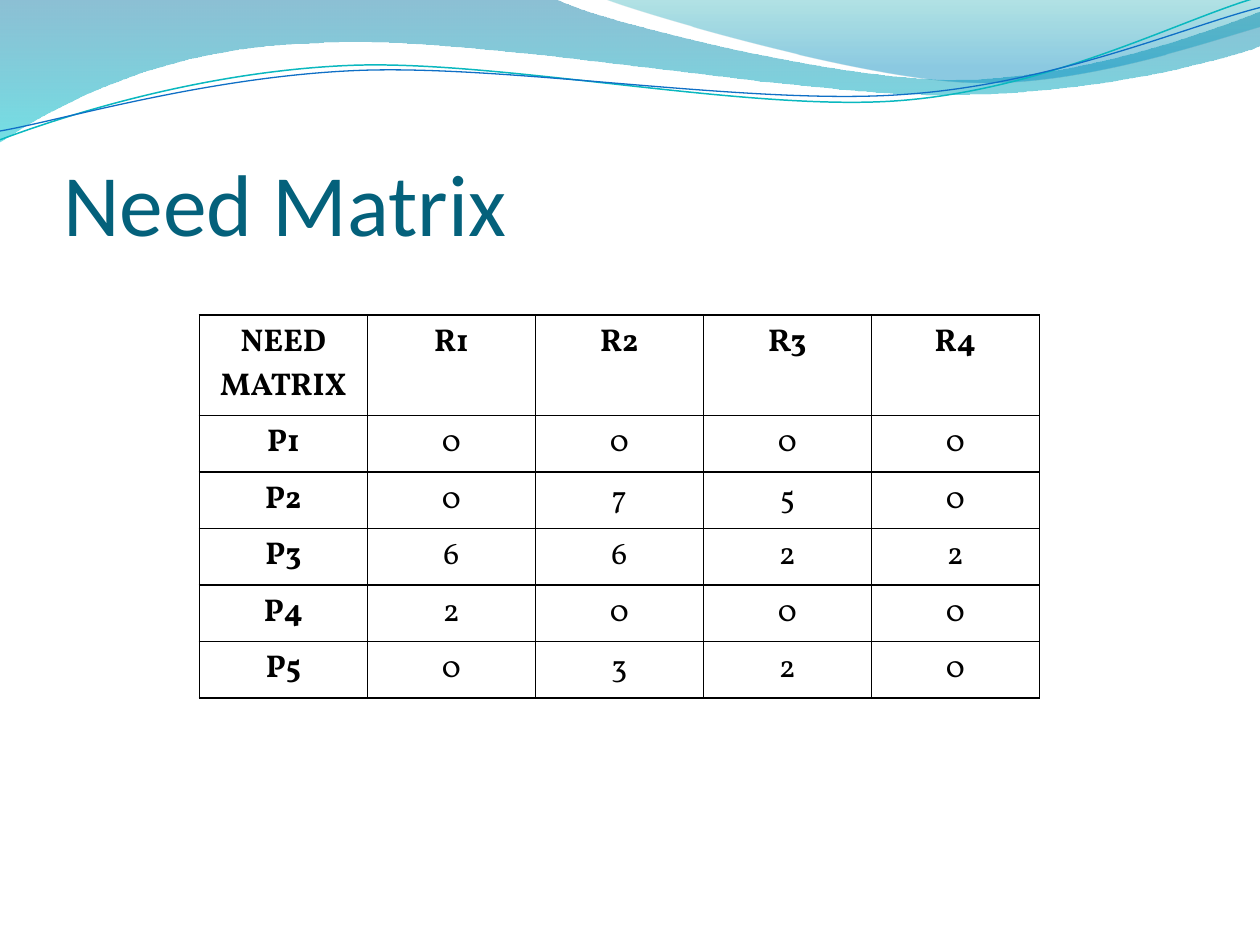
import pptx
import pptx.util
import pptx.dml.color
import pptx.enum.text
import pptx.oxml
import pptx.oxml.ns
from pptx.util import Cm

# Content
TITLE = "Need Matrix"
MATRIX = [
    ("NEED MATRIX", "R1", "R2", "R3", "R4"),
    ("P1", 0, 0, 0, 0),
    ("P2", 0, 7, 5, 0),
    ("P3", 6, 6, 2, 2),
    ("P4", 2, 0, 0, 0),
    ("P5", 0, 3, 2, 0),
]

THEME = {
    "title": {"name": "Calibri", "size": 50, "color": "04617B", "bold": False},
    "head": {"name": "Vollkorn", "size": 18, "color": "000000", "bold": True},
    "value": {"name": "Vollkorn", "size": 18, "color": "000000", "bold": False},
    "border": ("000000", 1),
}

# Wave outlines on a one-inch grid: two numbers draw a line, six a Bezier curve.
# Gradient stops are position, colour and opacity percent.
INCH = 2.54
WAVES = [
    {"start": (0, 0), "closed": True,
     "steps": [(4.4, -0.01), (4.76, 0.17, 6.64, 0.63, 7.58, 0.63),
               (8.53, 0.63, 9.58, 0.26, 10, 0.09), (10.01, 0.36),
               (9.83, 0.44, 8.7, 0.76, 7.46, 0.75),
               (6.22, 0.75, 3.82, 0.28, 2.57, 0.34),
               (1.29, 0.36, 0.46, 0.83, -0.01, 1.13), (0, 0)],
     "gradient": [(0, "0074A1", 45), (1, "00C6CF", 55)]},
    {"start": (4.79, -0.01), "closed": True,
     "steps": [(5.09, 0.11, 6.82, 0.62, 7.69, 0.65),
               (8.56, 0.69, 9.61, 0.32, 10, 0.21), (10, 0), (4.79, -0.01)],
     "gradient": [(0, "00A1A9", 30), (0.8, "008BBF", 45)]},
    {"start": (0, 1.11), "closed": False,
     "steps": [(0.48, 0.93, 1.58, 0.57, 2.77, 0.52),
               (3.95, 0.47, 5.93, 0.89, 7.13, 0.8),
               (8.33, 0.71, 9.38, 0.15, 9.98, -0.02)],
     "line": ("0AB8BF", 0.85)},
    {"start": (0, 1.04), "closed": False,
     "steps": [(0.47, 0.96, 1.64, 0.61, 2.83, 0.56),
               (4.03, 0.51, 5.97, 0.84, 7.17, 0.75),
               (8.36, 0.67, 9.41, 0.21, 10, 0.06)],
     "line": ("0F6FC6", 0.75)},
]


def rgb(value):
    return pptx.dml.color.RGBColor.from_string(value)


def xml(tag, attributes="", content=""):
    names = pptx.oxml.ns.nsdecls("a")
    return pptx.oxml.parse_xml(f"<a:{tag} {names} {attributes}>{content}</a:{tag}>")


def write(para, text, style):
    span = para.add_run()
    span.text = str(text)
    values = {"name": style["name"], "size": pptx.util.Pt(style["size"]),
              "bold": style["bold"]}
    for key, value in values.items():
        setattr(span.font, key, value)
    span.font.color.rgb = rgb(style["color"])


def bend(shape, steps):
    """Replace straight segments by the Bezier curves that steps describe."""
    segments = list(shape.element.spPr.iter(pptx.oxml.ns.qn("a:lnTo")))
    for segment, step in zip(segments, steps):
        if len(step) == 2:
            continue
        points = "".join(
            f'<a:pt x="{Cm(x * INCH) - shape.left}" y="{Cm(y * INCH) - shape.top}"/>'
            for x, y in zip(step[::2], step[1::2]))
        segment.getparent().replace(segment, xml("cubicBezTo", content=points))


def add_wave(page, wave):
    start, *ends = [(Cm(step[-2] * INCH), Cm(step[-1] * INCH))
                    for step in [wave["start"], *wave["steps"]]]
    builder = page.shapes.build_freeform(*start)
    builder.add_line_segments(ends, close=wave["closed"])
    shape = builder.convert_to_shape()
    bend(shape, wave["steps"])
    shape.shadow.inherit = False
    if "line" in wave:
        color, width = wave["line"]
        shape.fill.background()
        shape.line.color.rgb = rgb(color)
        shape.line.width = pptx.util.Pt(width)
        return
    shape.line.fill.background()
    shape.fill.gradient()
    shape.fill.gradient_angle = 270
    for stop, (position, color, _) in zip(shape.fill.gradient_stops, wave["gradient"]):
        stop.position = position
        stop.color.rgb = rgb(color)
    tints = shape.element.spPr.iter(pptx.oxml.ns.qn("a:srgbClr"))
    for tint, (_, _, opacity) in zip(tints, wave["gradient"]):
        tint.append(xml("alpha", f'val="{opacity * 1000}"'))


def add_borders(cell):
    color, width = THEME["border"]
    fill = f'<a:solidFill><a:srgbClr val="{color}"/></a:solidFill>'
    properties = cell._tc.get_or_add_tcPr()
    for index, side in enumerate(("lnL", "lnR", "lnT", "lnB")):
        properties.insert(index, xml(side, f'w="{pptx.util.Pt(width)}"', fill))


def add_title(page):
    box = page.shapes.add_textbox(Cm(1.28), Cm(1.95), Cm(23.32), Cm(3.18))
    frame = box.text_frame
    settings = {"word_wrap": True, "margin_left": 0, "margin_right": 0,
                "margin_top": Cm(0.13), "margin_bottom": 0,
                "vertical_anchor": pptx.enum.text.MSO_ANCHOR.BOTTOM}
    for key, value in settings.items():
        setattr(frame, key, value)
    write(frame.paragraphs[0], TITLE, THEME["title"])


def add_matrix(page):
    heights = [Cm(2.03)] + [Cm(1.14)] * (len(MATRIX) - 1)
    holder = page.shapes.add_table(len(MATRIX), len(MATRIX[0]), Cm(4.02),
                                   Cm(6.35), Cm(16.93), sum(heights))
    table = holder.table
    table.first_row = table.horz_banding = False
    for row, height in zip(table.rows, heights):
        row.height = height
    for r, values in enumerate(MATRIX):
        for c, value in enumerate(values):
            cell = table.cell(r, c)
            cell.fill.background()
            add_borders(cell)
            para = cell.text_frame.paragraphs[0]
            para.alignment = pptx.enum.text.PP_ALIGN.CENTER
            write(para, value, THEME["value" if r and c else "head"])


def main():
    deck = pptx.Presentation()
    deck.slide_width, deck.slide_height = Cm(25.4), Cm(19.05)
    page = deck.slides.add_slide(deck.slide_layouts[6])
    # Wave decoration along the top
    for wave in WAVES:
        add_wave(page, wave)
    # Title and matrix
    add_title(page)
    add_matrix(page)
    deck.save("out.pptx")


if __name__ == "__main__":
    main()
